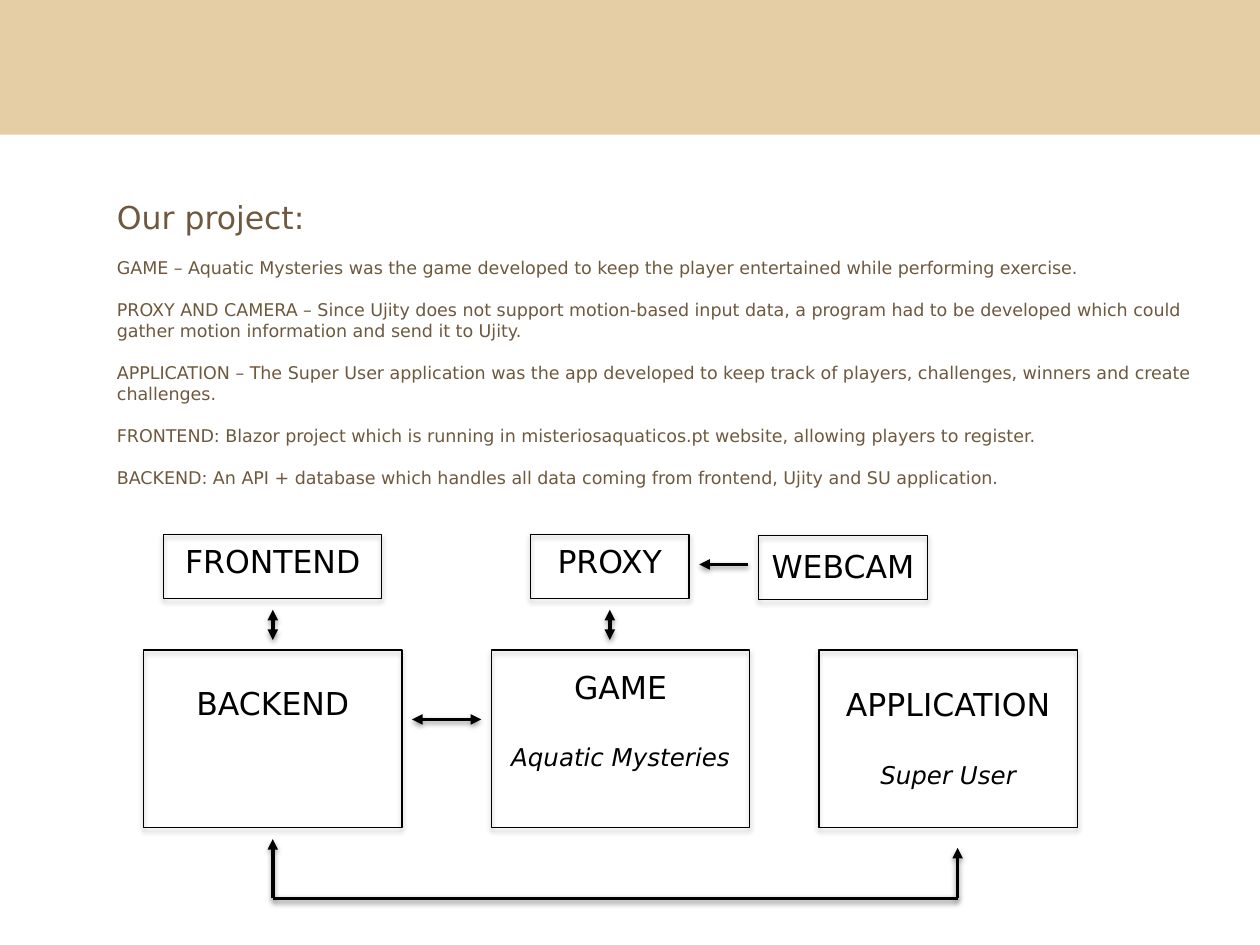
from lxml import etree
from pptx import Presentation
from pptx.dml.color import RGBColor
from pptx.enum.shapes import MSO_CONNECTOR, MSO_SHAPE
from pptx.enum.text import MSO_AUTO_SIZE, PP_ALIGN
from pptx.oxml import parse_xml
from pptx.oxml.ns import nsdecls, qn
from pptx.util import Inches, Pt

RECTANGLE = MSO_SHAPE.RECTANGLE
STRAIGHT = MSO_CONNECTOR.STRAIGHT
FIT_SHAPE = MSO_AUTO_SIZE.SHAPE_TO_FIT_TEXT
LEFT, CENTER = PP_ALIGN.LEFT, PP_ALIGN.CENTER

SAND = RGBColor(0xE5, 0xCD, 0xA6)
BROWN = RGBColor(0x6E, 0x59, 0x3E)
BLACK = RGBColor(0, 0, 0)
FONT = "DejaVu Sans"
SLIDE_WIDTH, SLIDE_HEIGHT = Inches(10), Inches(7.5)

# All places below are percentages of the slide's width or height.
BIG_ROW, BIG_WIDTH, BIG_HEIGHT = 68.8, 20.5, 18.8
SMALL_ROW, SMALL_HEIGHT = 56.53, 6.8
BACKEND_LEFT, GAME_LEFT, APPLICATION_LEFT = 11.4, 39, 65
BACKEND_CENTER = BACKEND_LEFT + BIG_WIDTH / 2
PROXY_CENTER, APPLICATION_CENTER = 48.4, 76
LINK_TOP, LINK_BOTTOM = 64.53, 67.73
RETURN_ROW = 95.07

DESCRIPTIONS = [
    "GAME – Aquatic Mysteries was the game developed to keep the player "
    "entertained while performing exercise.",
    "PROXY AND CAMERA – Since Ujity does not support motion-based input data, "
    "a program had to be developed which could gather motion information and "
    "send it to Ujity.",
    "APPLICATION – The Super User application was the app developed to keep "
    "track of players, challenges, winners and create challenges.",
    "FRONTEND: Blazor project which is running in misteriosaquaticos.pt "
    "website, allowing players to register.",
    "BACKEND: An API + database which handles all data coming from frontend, "
    "Ujity and SU application.",
]


def across(percent):
    return round(SLIDE_WIDTH * percent / 100)


def down(percent):
    return round(SLIDE_HEIGHT * percent / 100)


def frame(left, top, width, height):
    return across(left), down(top), across(width), down(height)


def add_shadow(shape, distance, opacity):
    """Drop a soft black shadow straight down; call after the line is set."""
    shape._element.spPr.append(parse_xml(
        f'<a:effectLst {nsdecls("a")}>'
        f'<a:outerShdw blurRad="{Pt(3.1)}" dist="{Pt(distance)}" '
        'dir="5400000" rotWithShape="0"><a:srgbClr val="000000">'
        f'<a:alpha val="{opacity * 1000}"/></a:srgbClr></a:outerShdw>'
        '</a:effectLst>'))


def add_banner(page):
    banner = page.shapes.add_shape(RECTANGLE, *frame(0, 0, 100, 14.27))
    banner.shadow.inherit = False
    banner.fill.solid()
    banner.fill.fore_color.rgb = SAND
    banner.line.fill.background()


def add_text(page, place, paragraphs, color, align, gap):
    """Write (text, size, italic) paragraphs, separated by gap points."""
    box = page.shapes.add_textbox(*frame(*place))
    text_frame = box.text_frame
    text_frame.word_wrap = True
    text_frame.auto_size = FIT_SHAPE
    for index, (text, size, italic) in enumerate(paragraphs):
        para = text_frame.add_paragraph() if index else text_frame.paragraphs[0]
        para.alignment = align
        if index:
            para.space_before = Pt(gap)
        span = para.add_run()
        span.text = text
        span.font.name = FONT
        span.font.size = Pt(size)
        span.font.italic = italic
        span.font.color.rgb = color


def add_component(page, place, label_top, name, subtitle=None):
    """Draw an outlined box with its label, which starts at label_top."""
    box = page.shapes.add_shape(RECTANGLE, *frame(*place))
    box.fill.background()
    box.line.color.rgb = BLACK
    box.line.width = Pt(0.75)
    add_shadow(box, 1.8, 35)

    left, _, width, _ = place
    paragraphs = [(name, 18, False)]
    if subtitle:
        paragraphs.append((subtitle, 14, True))
    label_height = 12.53 if subtitle else 5.33
    add_text(page, (left, label_top, width, label_height), paragraphs,
             BLACK, CENTER, 21)


def add_link(page, start, end, heads=()):
    """Draw a line; heads may hold headEnd (start) and tailEnd (end)."""
    link = page.shapes.add_connector(
        STRAIGHT, across(start[0]), down(start[1]), across(end[0]), down(end[1]))
    link.line.color.rgb = BLACK
    link.line.width = Pt(2)
    outline = link.line._get_or_add_ln()
    for head in heads:
        etree.SubElement(outline, qn(f"a:{head}"), type="triangle")
    add_shadow(link, 1.6, 38)


def add_components(page):
    for left, label_top, name, subtitle in [
        (BACKEND_LEFT, 71.73, "BACKEND", None),
        (GAME_LEFT, 70, "GAME", "Aquatic Mysteries"),
        (APPLICATION_LEFT, 71.87, "APPLICATION", "Super User"),
    ]:
        add_component(page, (left, BIG_ROW, BIG_WIDTH, BIG_HEIGHT),
                      label_top, name, subtitle)
    for left, top, width, label_top, name in [
        (13, SMALL_ROW, 17.3, 56.67, "FRONTEND"),
        (42.1, SMALL_ROW, 12.6, 56.67, "PROXY"),
        (60.2, 56.67, 13.4, 57.2, "WEBCAM"),
    ]:
        add_component(page, (left, top, width, SMALL_HEIGHT), label_top, name)


def add_links(page):
    end_only = ("tailEnd",)
    both = ("headEnd", "tailEnd")
    for center in (BACKEND_CENTER, PROXY_CENTER):
        add_link(page, (center, LINK_TOP), (center, LINK_BOTTOM), both)
    add_link(page, (32.7, 76.13), (38.2, 76.13), both)
    add_link(page, (59.4, 59.73), (55.5, 59.73), end_only)

    backend_corner = (BACKEND_CENTER, RETURN_ROW)
    application_corner = (APPLICATION_CENTER, RETURN_ROW)
    add_link(page, backend_corner, application_corner)
    add_link(page, backend_corner, (BACKEND_CENTER, 88.8), end_only)
    add_link(page, application_corner, (APPLICATION_CENTER, 89.73), end_only)


def main():
    deck = Presentation()
    deck.slide_width, deck.slide_height = SLIDE_WIDTH, SLIDE_HEIGHT
    page = deck.slides.add_slide(deck.slide_layouts[6])
    add_banner(page)
    overview = [("Our project:", 18, False)]
    overview += [(text, 10, False) for text in DESCRIPTIONS]
    add_text(page, (8.3, 20.27, 87.4, 32.27), overview, BROWN, LEFT, 12)
    add_components(page)
    add_links(page)
    deck.save("out.pptx")


if __name__ == "__main__":
    main()
